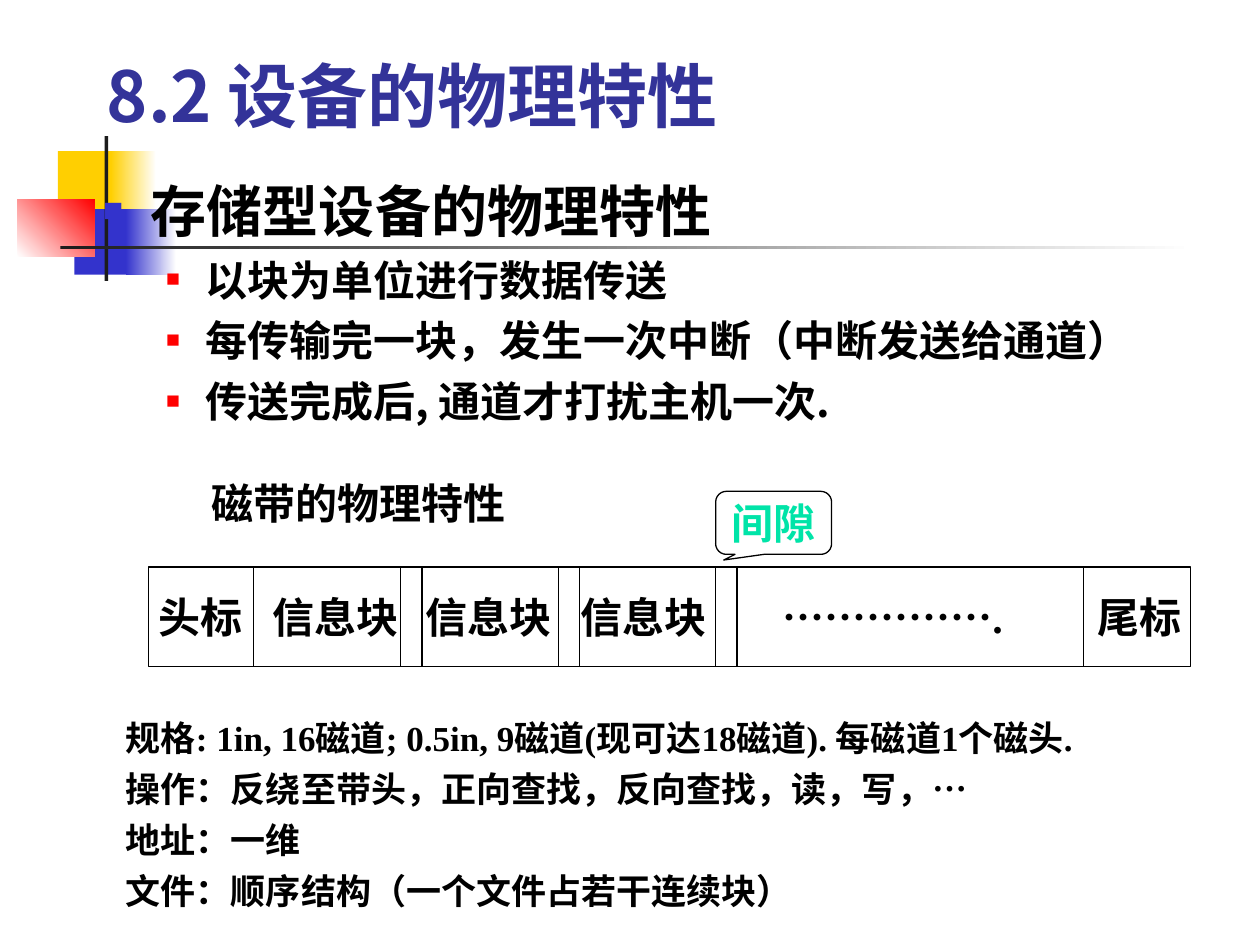
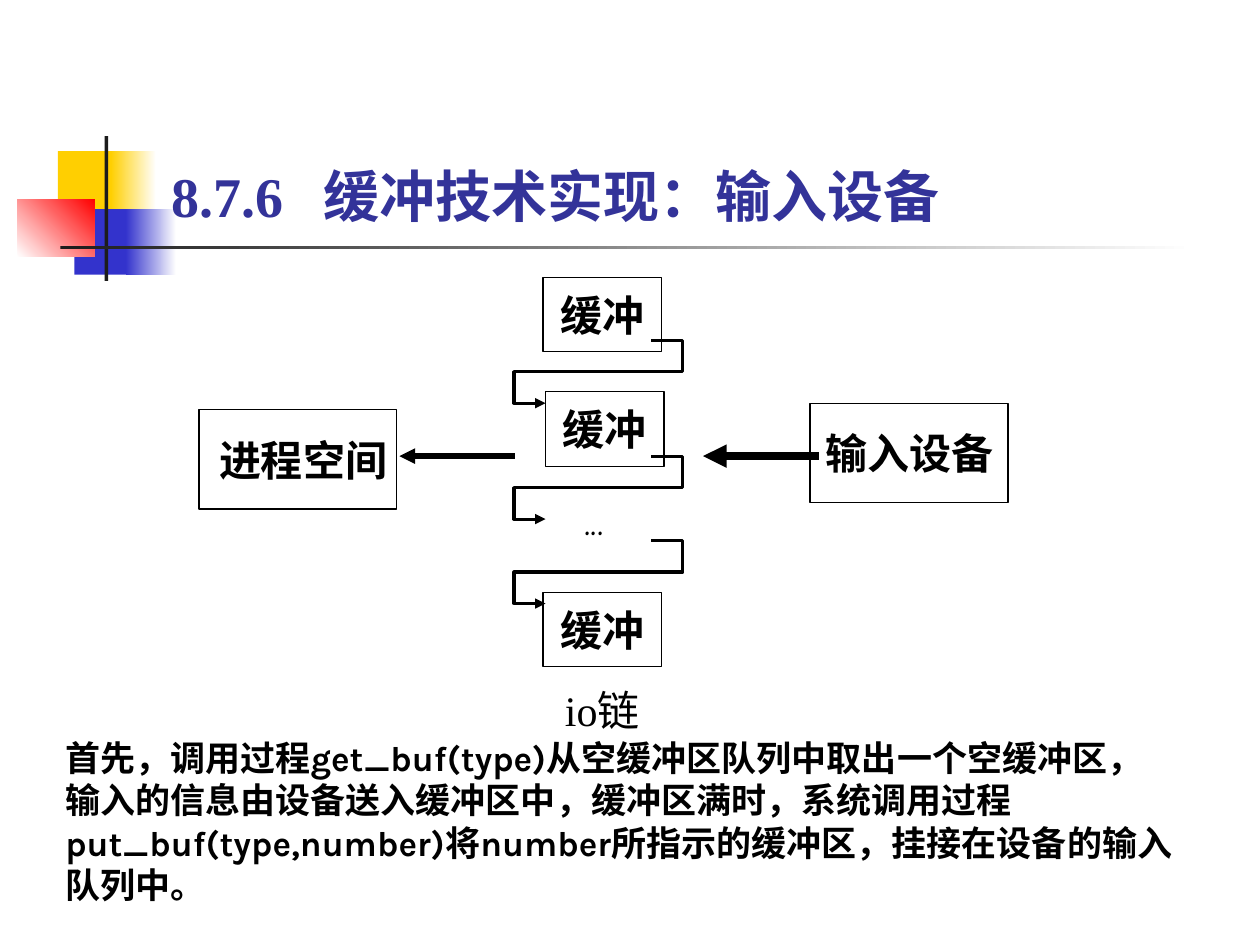
from lxml.etree import SubElement as Sub
from pptx import Presentation
from pptx.dml.color import RGBColor as RGB
from pptx.enum.shapes import MSO_CONNECTOR as Conn, MSO_SHAPE as Kind
from pptx.enum.text import MSO_ANCHOR as Anchor, PP_ALIGN as Align
from pptx.oxml.ns import qn
from pptx.util import Inches, Pt

WIDE, HIGH = Inches(10), Inches(7.5)
COL, ROW = WIDE / 10, HIGH / 7.5

BLACK = RGB(0, 0, 0)
WHITE = RGB(255, 255, 255)
GOLD = RGB(0xFF, 0xCF, 0x01)
BLUE = RGB(0x33, 0x33, 0xCC)
NAVY = RGB(0x33, 0x33, 0x99)
RED = RGB(0xFF, 0, 0)
INK = RGB(0x1C, 0x1C, 0x1C)
MINT = RGB(0, 0xE4, 0xA8)

SERIF = "Times New Roman"
SANS = "Noto Sans CJK SC"
COMIC = "Comic Neue"
KARLA = "Karla"


def cols(n):
    return round(n * COL)


def rows(n):
    return round(n * ROW)


def area(x, y, w, h):
    return cols(x), rows(y), cols(w), rows(h)


def block(slide, place, fill, edge=None, kind=Kind.RECTANGLE):
    shape = slide.shapes.add_shape(kind, *area(*place))
    shape.shadow.inherit = False
    shape.fill.solid()
    shape.fill.fore_color.rgb = fill
    if edge is None:
        shape.line.fill.background()
    else:
        shape.line.color.rgb = edge
        shape.line.width = Pt(0.75)
    return shape


def fade(slide, place, first, last, angle=0):
    shape = block(slide, place, WHITE)
    shape.fill.gradient()
    shape.fill.gradient_angle = angle
    for stop, tone in zip(shape.fill.gradient_stops, (first, last)):
        stop.color.rgb = tone


def label(slide, place):
    return slide.shapes.add_textbox(*area(*place))


def frame(shape, anchor=Anchor.TOP, wrap=True, left=0.1, right=0.1):
    text = shape.text_frame
    text.word_wrap = wrap
    text.vertical_anchor = anchor
    text.margin_left, text.margin_right = cols(left), cols(right)
    text.margin_top = text.margin_bottom = rows(0.05)
    return text


def write(text, words, size, font=SERIF, tone=BLACK, bold=True,
          align=Align.LEFT, space=0, indent=None, mark=None, tabs=()):
    para = text.paragraphs[0]
    if para.runs:
        para = text.add_paragraph()
        para.space_before = Pt(space)
    para.alignment = align
    props = para._p.get_or_add_pPr()
    if indent:
        props.set("marL", str(cols(indent[0])))
        props.set("indent", str(cols(indent[1])))
    if mark:
        shade, share = mark
        Sub(Sub(props, qn("a:buClr")), qn("a:srgbClr"), val=str(shade))
        Sub(props, qn("a:buSzPct"), val=str(share * 1000))
        Sub(props, qn("a:buFont"), typeface=SERIF)
        Sub(props, qn("a:buChar"), char="■")
    if tabs:
        stops = Sub(props, qn("a:tabLst"))
        for stop in tabs:
            Sub(stops, qn("a:tab"), pos=str(cols(stop)), algn="l")
    run = para.add_run()
    run.text = words
    run.font.size = Pt(size)
    run.font.bold = bold
    run.font.name = font
    run.font.color.rgb = tone
    Sub(run._r.get_or_add_rPr(), qn("a:ea"), typeface=SANS)


def line(slide, start, end, width=0.75):
    rule = slide.shapes.add_connector(
        Conn.STRAIGHT, cols(start[0]), rows(start[1]), cols(end[0]), rows(end[1]))
    rule.line.color.rgb = BLACK
    rule.line.width = Pt(width)
    Sub(rule._element.spPr, qn("a:effectLst"))
    return rule


def tip(shape, end):
    Sub(shape.line._get_or_add_ln(), qn(f"a:{end}"), type="triangle")


def hook(slide, top):
    right, left, drop = 5.42, 4.08, 0.25
    points = [(right, top), (right, top + drop), (left, top + drop),
              (left, top + 2 * drop), (left + drop, top + 2 * drop)]
    build = slide.shapes.build_freeform(cols(right - drop), rows(top))
    build.add_line_segments([(cols(x), rows(y)) for x, y in points], close=False)
    shape = build.convert_to_shape()
    shape.shadow.inherit = False
    shape.fill.background()
    shape.line.color.rgb = BLACK
    shape.line.width = Pt(1.75)
    tip(shape, "tailEnd")


def node(slide, place, words, left=0.06):
    text = frame(block(slide, place, WHITE, BLACK), Anchor.MIDDLE, False, left, 0.06)
    write(text, words, 24, align=Align.CENTER)


def base(deck):
    slide = deck.slides.add_slide(deck.slide_layouts[6])
    block(slide, (0.46, 1.2, 0.48, 0.52), GOLD)
    fade(slide, (0.88, 1.2, 0.36, 0.52), GOLD, WHITE)
    block(slide, (0.59, 1.66, 0.46, 0.52), BLUE)
    fade(slide, (1, 1.66, 0.4, 0.52), BLUE, WHITE)
    fade(slide, (0.14, 1.58, 0.61, 0.46), WHITE, RED, 45)
    block(slide, (0.83, 1.08, 0.03, 1.15), INK)
    fade(slide, (0.48, 1.95, 9, 0.03), INK, WHITE)
    return slide


def tape(slide):
    left, top, high = 1.18, 4.5, 0.79
    first, step, gap = 3.18, 1.25, 0.17
    band = block(slide, (left, top, 8.27, high), WHITE, BLACK)
    parts = ["头标", *["信息块"] * 3, "…………….", "尾标"]
    write(frame(band, Anchor.MIDDLE, left=0.08, right=0), "\t".join(parts), 24,
          tabs=(0.9, 2.12, 3.35, 4.95, 7.45))
    ends = [first + step * i for i in range(3)]
    for x in [2.01, *ends, *[end + gap for end in ends], 8.6]:
        line(slide, (x, top), (x, top + high))
    note = block(slide, (ends[-1], 3.9, 0.92, 0.5), WHITE, BLACK,
                 Kind.ROUNDED_RECTANGULAR_CALLOUT)
    for i, value in enumerate((-0.43, 0.59, 0.17)):
        note.adjustments[i] = value
    write(frame(note, Anchor.MIDDLE, False), "间隙", 24, tone=MINT, align=Align.CENTER)


def traits(deck):
    slide = base(deck)
    tape(slide)
    specs = frame(block(slide, (0.9, 5.64, 8.78, 1.64), WHITE))
    for words in ("规格: 1in, 16磁道; 0.5in, 9磁道(现可达18磁道). 每磁道1个磁头.",
                  "操作：反绕至带头，正向查找，反向查找，读，写，…",
                  "地址：一维",
                  "文件：顺序结构（一个文件占若干连续块）"):
        write(specs, words, 20, space=5)
    title = frame(label(slide, (0.75, 0.05, 8.5, 1.08)), Anchor.BOTTOM)
    write(title, "8.2 设备的物理特性", 40, SANS, NAVY)
    body = frame(label(slide, (0.72, 1.35, 8.5, 4.5)))
    write(body, "存储型设备的物理特性", 32, SANS, indent=(0.38, -0.38), mark=(BLUE, 60))
    for words in ("以块为单位进行数据传送",
                  "每传输完一块，发生一次中断（中断发送给通道）",
                  "传送完成后, 通道才打扰主机一次."):
        write(body, words, 24, SANS, space=6, indent=(0.81, -0.31), mark=(RED, 55))
    head = frame(label(slide, (1.08, 3.74, 3.03, 0.5)), wrap=False)
    write(head, "磁带的物理特性", 24, indent=(0.5, 0))


def buffers(deck):
    slide = base(deck)
    title = frame(label(slide, (1.26, 1.23, 6.38, 0.64)))
    write(title, "8.7.6\t缓冲技术实现：输入设备", 32, tone=NAVY, tabs=(1.21,))
    node(slide, (1.58, 3.25, 1.57, 0.79), "进程空间", 0.14)
    node(slide, (6.43, 3.2, 1.57, 0.79), "输入设备")
    for x, width in ((3.17, 3), (5.58, 4.5)):
        tip(line(slide, (x, 3.62), (x + 0.92, 3.62), width), "headEnd")
    for x, y in ((4.31, 2.2), (4.33, 3.11), (4.31, 4.7)):
        node(slide, (x, y, 0.94, 0.59), "缓冲")
    for top in (2.7, 3.62, 4.29):
        hook(slide, top)
    dots = frame(label(slide, (4.58, 3.87, 0.58, 0.5)), left=0.06, right=0.06)
    write(dots, "...", 24, COMIC, bold=False)
    chain = frame(label(slide, (4.28, 5.38, 1, 0.5)))
    write(chain, "io链", 24, bold=False, align=Align.CENTER)
    steps = frame(label(slide, (0.42, 5.8, 9, 1.44)))
    write(steps, "首先，调用过程get_buf(type)从空缓冲区队列中取出一个空缓冲区，"
                 "输入的信息由设备送入缓冲区中，缓冲区满时，系统调用过程"
                 "put_buf(type,number)将number所指示的缓冲区，"
                 "挂接在设备的输入队列中。", 20, KARLA)


def main():
    deck = Presentation()
    deck.slide_width, deck.slide_height = WIDE, HIGH
    traits(deck)
    buffers(deck)
    deck.save("out.pptx")


if __name__ == "__main__":
    main()
